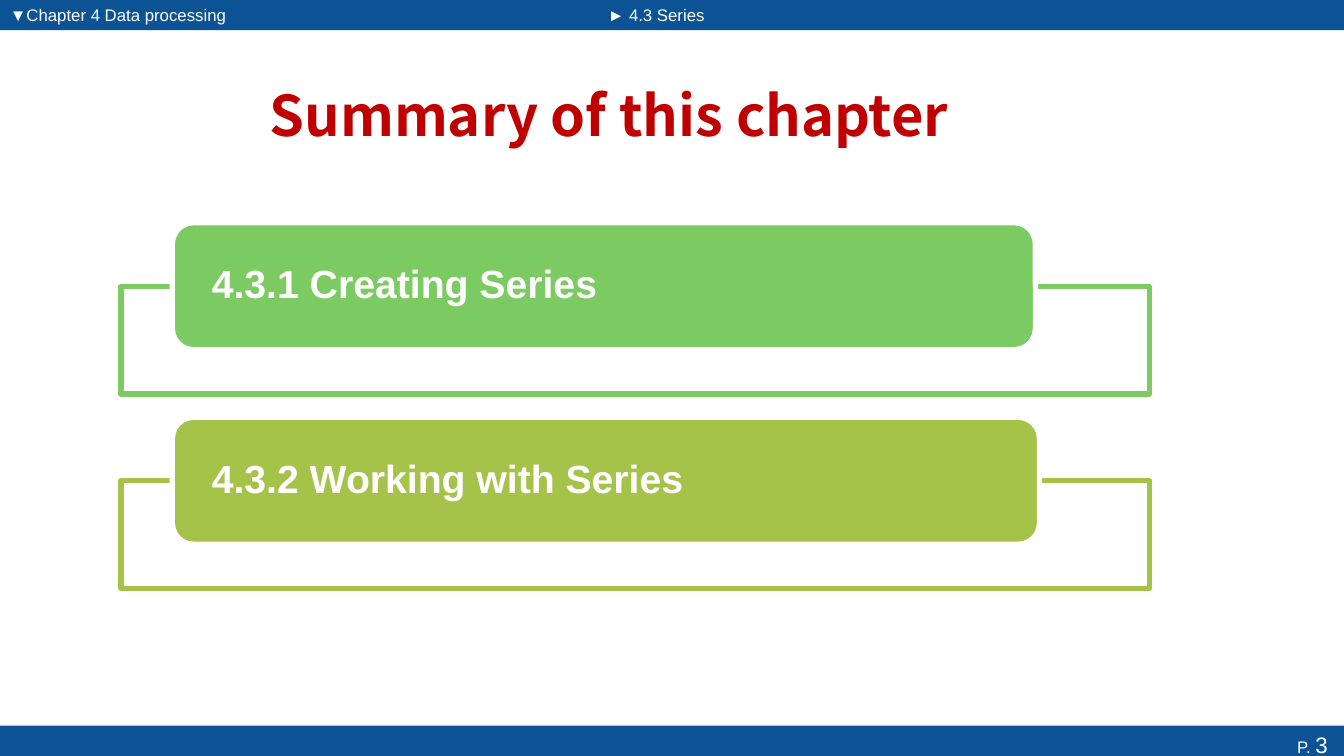
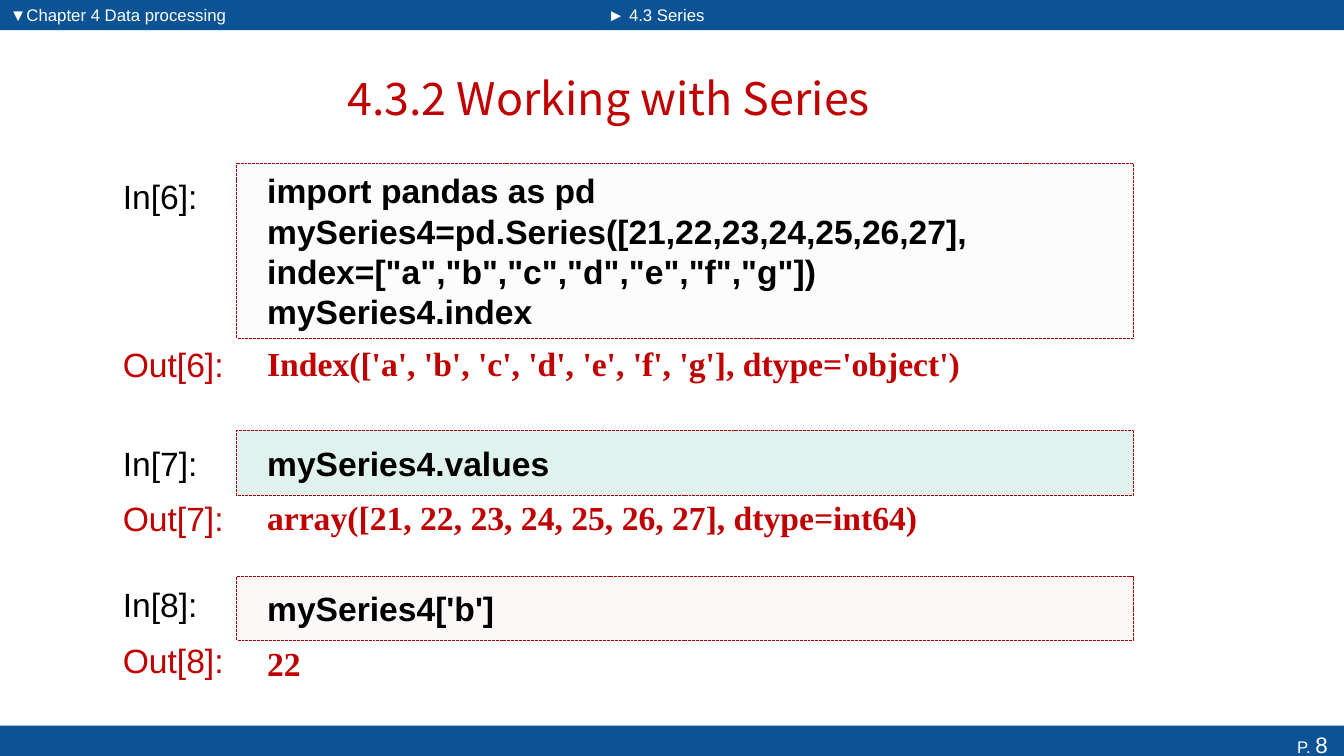
import pptx
import pptx.dml.color
import pptx.enum.dml
import pptx.enum.shapes
import pptx.enum.text
import pptx.oxml.ns
import pptx.util
from lxml import etree

Inches = pptx.util.Inches
Pt = pptx.util.Pt
rgb = pptx.dml.color.RGBColor.from_string
SHAPE = pptx.enum.shapes.MSO_SHAPE
ALIGN = pptx.enum.text.PP_ALIGN
ANCHOR = pptx.enum.text.MSO_ANCHOR

BLUE, RED, DARK_RED = "0B5394", "C00000", "AB0000"
WHITE, BLACK = "FFFFFF", "000000"


def add_box(s, at, fill=None, line=None, width=1, shape=SHAPE.RECTANGLE):
    """Add a filled shape, or a plain text box when there is no fill."""
    at = [Inches(v) for v in at]
    if fill is None:
        return s.shapes.add_textbox(*at)
    sp = s.shapes.add_shape(shape, *at)
    sp.shadow.inherit = False
    sp.fill.solid()
    sp.fill.fore_color.rgb = rgb(fill)
    if line:
        sp.line.color.rgb = rgb(line)
        sp.line.width = Pt(width)
    else:
        sp.line.fill.background()
    return sp


def write(sp, lines, size, color, font="Arial", bold=False, align=ALIGN.LEFT,
          anchor=ANCHOR.TOP, indent=0.1):
    tf = sp.text_frame
    tf.word_wrap = True
    tf.vertical_anchor = anchor
    tf.margin_left = Inches(indent)
    tf.text = "\n".join(lines)
    for p in tf.paragraphs:
        p.alignment = align
        p.font.name = font
        p.font.size = Pt(size)
        p.font.bold = bold
        p.font.color.rgb = rgb(color)
    return tf


prs = pptx.Presentation()
prs.slide_width, prs.slide_height = Inches(13.33), Inches(7.5)

# Title, header band and footer band of every slide
pages = [
    # title, top, size, bold, page number
    ("Summary of this chapter", 0.68, 40, True, 3),
    ("4.3.2 Working with Series", 0.52, 32, False, 8),
]
headers = [
    # left, width, text
    (0, 5.93, "▼Chapter 4 Data processing"),
    (5.93, 7.4, "► 4.3 Series"),
]
for title, top, size, bold, number in pages:
    s = prs.slides.add_slide(prs.slide_layouts[5])
    sp = s.shapes.title
    sp.left, sp.top = Inches(0.68), Inches(top)
    sp.width, sp.height = Inches(10.72), Inches(0.9)
    write(sp, [title], size, RED, "Noto Sans CJK SC", bold, ALIGN.CENTER, ANCHOR.MIDDLE)

    for left, width, text in headers:
        sp = add_box(s, (left, 0, width, 0.3), BLUE)
        write(sp, [text], 12, WHITE)

    sp = add_box(s, (0, 7.2, 13.33, 0.37), BLUE)
    p = write(sp, ["P. "], 12, WHITE, align=ALIGN.RIGHT).paragraphs[0]
    r = p.add_run()
    r.text = f"{number} "
    r.font.size = Pt(16)

summary, series = prs.slides

# Summary: one card on a frame for each section
sections = [
    ("4.3.1 Creating Series", "7CCA62", 8.56),
    ("4.3.2 Working with Series", "A5C249", 8.6),
]
for i, (text, color, width) in enumerate(sections):
    top = 2.21 + i * 1.93
    add_box(summary, (1.2, top + 0.63, 10.2, 1.07), WHITE, color, 3.78)
    card = add_box(summary, (1.71, top, width, 1.26), color, WHITE, 3.78,
                   SHAPE.ROUNDED_RECTANGLE)
    tf = write(card, [text], 28, WHITE, bold=True, anchor=ANCHOR.MIDDLE, indent=0.33)
    tf.paragraphs[0].line_spacing = 0.9

# Working with Series: numbered inputs and their outputs
inputs = [
    # number, label top, box top, box height, fill, code
    (6, 1.7, 1.62, 1.74, "F1EEF4", [
        "import pandas as pd",
        'mySeries4=pd.Series([21,22,23,24,25,26,27], index=["a","b","c","d","e","f","g"])',
        "mySeries4.index",
    ]),
    (7, 4.34, 4.27, 0.65, "0C9B74", ["mySeries4.values"]),
    (8, 5.74, 5.72, 0.63, "EDCDCB", ["mySeries4['b']"]),
]
for number, label_top, top, height, fill, code in inputs:
    write(add_box(series, (1.12, label_top, 1.13, 0.5)), [f"In[{number}]:"], 24, BLACK)
    sp = add_box(series, (2.35, top, 8.89, height), fill, DARK_RED, 0.7)
    sp.line.dash_style = pptx.enum.dml.MSO_LINE.SQUARE_DOT
    clr = sp.fill._xPr.find(".//" + pptx.oxml.ns.qn("a:srgbClr"))
    etree.SubElement(clr, pptx.oxml.ns.qn("a:alpha"), val="13000")
    write(sp, code, 24, BLACK, bold=True, anchor=ANCHOR.MIDDLE, indent=0.3)

outputs = [
    # number, label top, text top, text height, result
    (6, 3.36, 3.28, 0.65, "Index(['a', 'b', 'c', 'd', 'e', 'f', 'g'], dtype='object')"),
    (7, 4.89, 4.77, 0.71, "array([21, 22, 23, 24, 25, 26, 27], dtype=int64)"),
    (8, 6.3, 6.25, 0.65, "22"),
]
for number, label_top, top, height, result in outputs:
    write(add_box(series, (1.12, label_top, 1.35, 0.5)), [f"Out[{number}]:"], 24, RED)
    write(add_box(series, (2.35, top, 8.74, height)), [result], 24, RED,
          "Times New Roman", True, anchor=ANCHOR.MIDDLE, indent=0.3)

prs.save("out.pptx")
